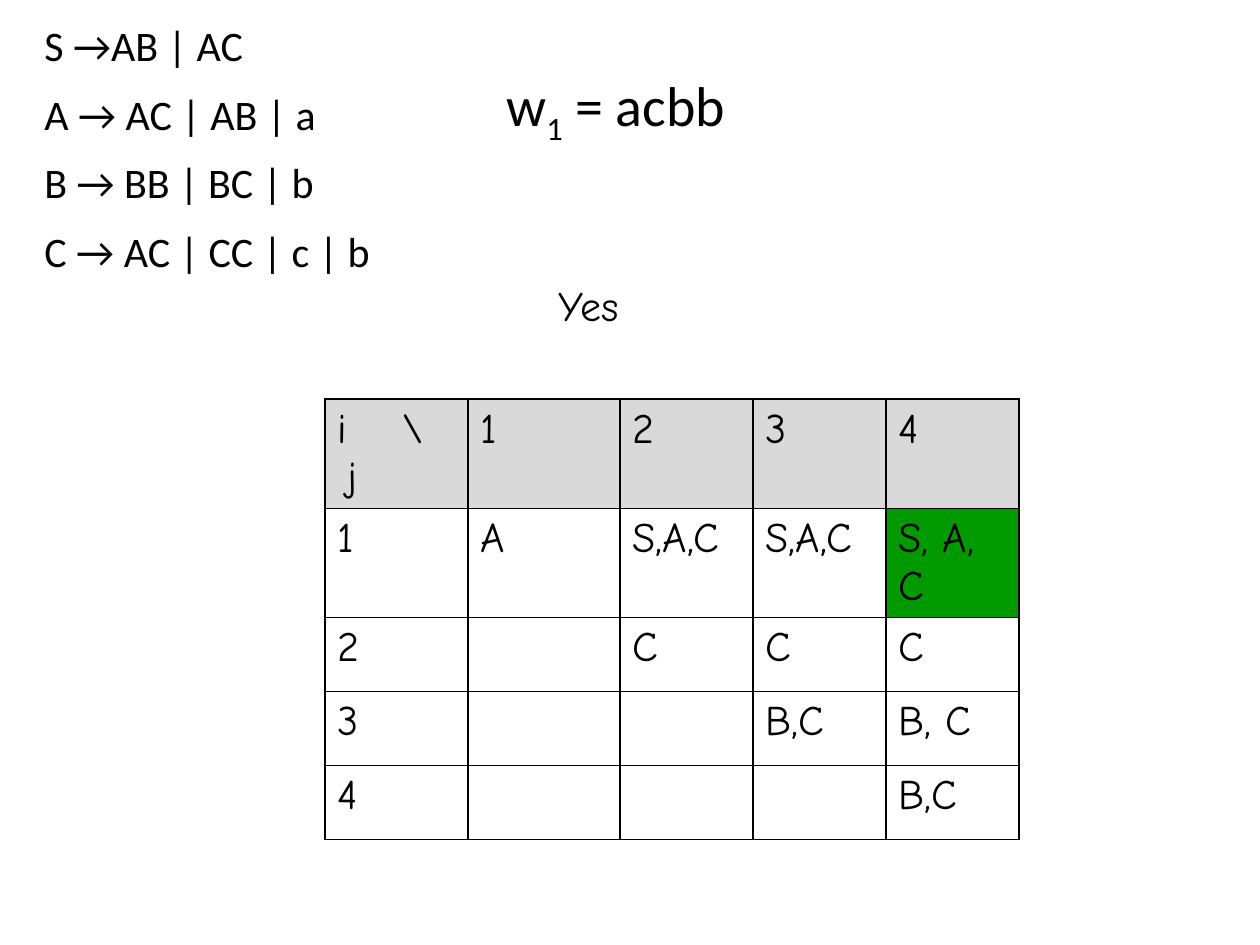
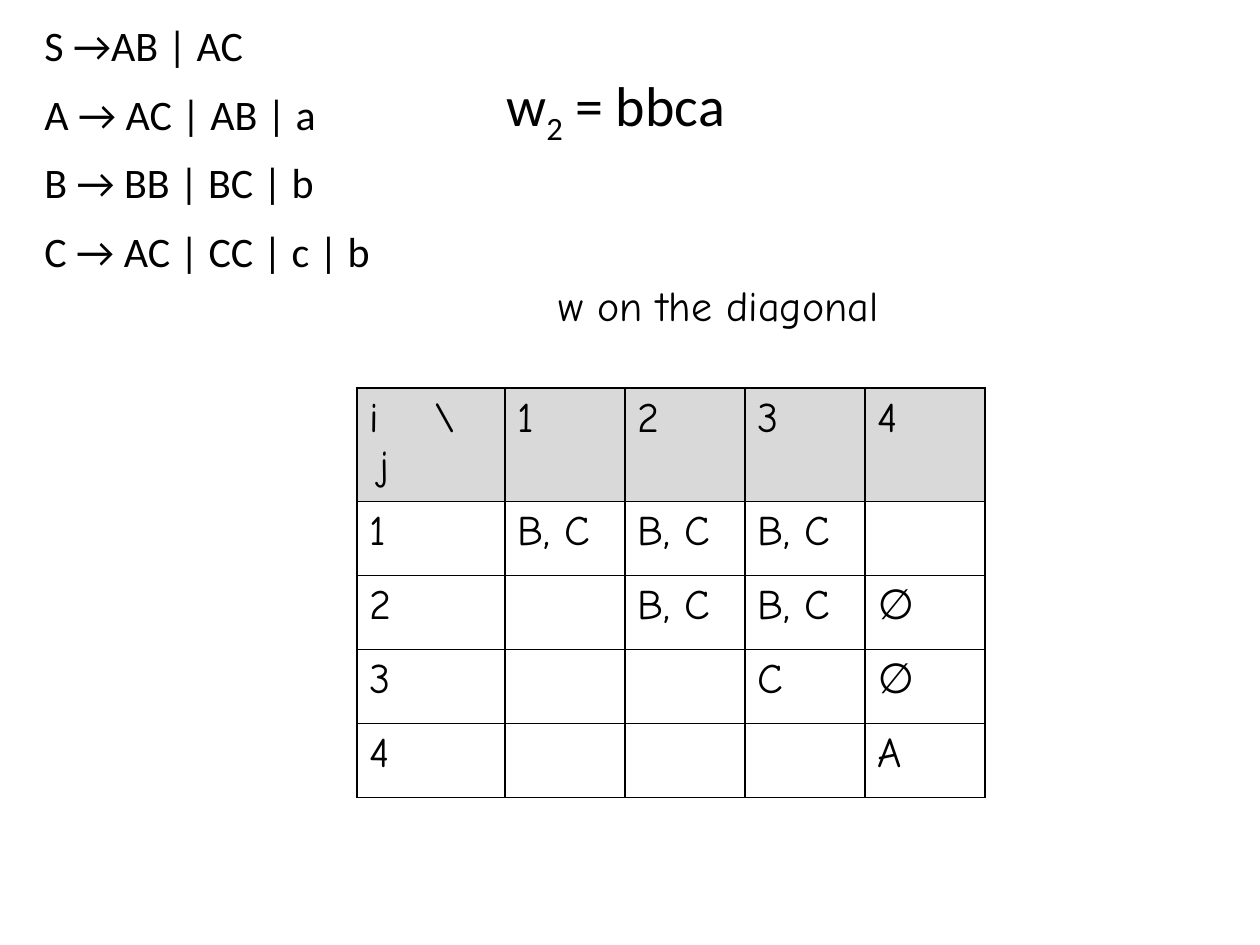
from lxml import etree
from pptx import Presentation
from pptx import util as u
from pptx.dml.color import RGBColor
from pptx.enum import text
from pptx.oxml import ns

SCALE = 914400 / 126
BLACK = RGBColor(0x00, 0x00, 0x00)
HEADER_GREY = RGBColor(0xD9, 0xD9, 0xD9)
ACCEPT_GREEN = RGBColor(0x00, 0x99, 0x00)
BODY_FONT = "Calibri"
HAND_FONT = "Comic Neue"
RULES = ["S →AB | AC", "A → AC | AB | a", "B → BB | BC | b", "C → AC | CC | c | b"]
RULES_BOX = (-31, 6, 630, 278)
WORD_BOX = (494, 64, 266, 81)
ROW_HEIGHT = 74

SLIDES = [
    {
        "index": "1", "word": "acbb",
        "remark": "Yes", "remark_box": (546, 273, 96, 63),
        "corner": (325, 399), "columns": [143, 152, 133, 133, 133],
        "entries": [["A", "S,A,C", "S,A,C", "S, A, C"], ["C", "C", "C"], ["B,C", "B, C"], ["B,C"]],
        "accepted": True,
    },
    {
        "index": "2", "word": "bbca",
        "remark": "w on the diagonal", "remark_box": (546, 273, 363, 63),
        "corner": (357, 388), "columns": [148, 120, 120, 120, 120],
        "entries": [["B, C", "B, C", "B, C", ""], ["B, C", "B, C", "∅"], ["C", "∅"], ["A"]],
        "accepted": False,
    },
]


def px(length):
    """Turn px into EMU."""
    return u.Emu(round(length * SCALE))


def add_element(parent, tag, **attributes):
    """Append a DrawingML element and return it."""
    return etree.SubElement(parent, ns.qn(f"a:{tag}"), **attributes)


def space_before(para):
    """Put a fifth of a line above a paragraph that has no properties yet."""
    spacing = add_element(para._p.get_or_add_pPr(), "spcBef")
    add_element(spacing, "spcPct", val="20000")


def set_font(para, name, size):
    """Give a paragraph its black font."""
    para.font.name = name
    para.font.size = u.Pt(size)
    para.font.color.rgb = BLACK


def add_text_box(page, box, wrap):
    """Add an empty text box and return its text frame."""
    frame = page.shapes.add_textbox(*map(px, box)).text_frame
    frame.word_wrap = wrap
    frame.auto_size = text.MSO_AUTO_SIZE.SHAPE_TO_FIT_TEXT
    return frame


def add_rules(page, box):
    """List the grammar rules."""
    frame = add_text_box(page, box, True)
    for number, rule in enumerate(RULES):
        para = frame.add_paragraph() if number else frame.paragraphs[0]
        para.text = rule
        para.line_spacing = 1.15
        para.space_after = u.Pt(6)
        para._p.get_or_add_pPr().set("marL", str(px(63)))
        set_font(para, BODY_FONT, 24)


def add_word(page, box, index, word):
    """Show the tested word with its subscript."""
    para = add_text_box(page, box, False).paragraphs[0]
    space_before(para)
    set_font(para, BODY_FONT, 32)
    for part in ("w", index, f" = {word}"):
        span = para.add_run()
        span.text = part
        if part == index:
            span._r.get_or_add_rPr().set("baseline", "-25000")


def add_remark(page, box, remark):
    """Write the remark above the table."""
    para = add_text_box(page, box, False).paragraphs[0]
    para.text = remark
    space_before(para)
    set_font(para, HAND_FONT, 24)


def fill_cell(cell, entry, color=None):
    """Give a cell its text, black borders and fill."""
    if entry:
        para = cell.text_frame.paragraphs[0]
        para.text = entry
        space_before(para)
        set_font(para, HAND_FONT, 24)
    for side in ("lnL", "lnR", "lnT", "lnB"):
        line = add_element(cell._tc.get_or_add_tcPr(), side, w=str(u.Pt(1)))
        add_element(add_element(line, "solidFill"), "srgbClr", val=str(BLACK))
    if color is None:
        cell.fill.background()
    else:
        cell.fill.solid()
        cell.fill.fore_color.rgb = color


def fill_axis_cell(cell):
    """Label the row and column indices in the corner cell."""
    fill_cell(cell, "i\t\\", HEADER_GREY)
    first = cell.text_frame.paragraphs[0]
    tabs = etree.Element(ns.qn("a:tabLst"))
    add_element(tabs, "tab", pos=str(px(64)), algn="l")
    first._p.pPr.find(ns.qn("a:spcBef")).addnext(tabs)
    second = cell.text_frame.add_paragraph()
    second.text = "j"
    second._p.get_or_add_pPr().set("marL", str(px(10)))
    set_font(second, HAND_FONT, 24)


def add_parse_table(page, corner, columns, entries, accepted):
    """Build the upper triangular parse table."""
    size = len(columns)
    box = (*corner, sum(columns), size * ROW_HEIGHT)
    table = page.shapes.add_table(size, size, *map(px, box)).table
    table.first_row = table.horz_banding = False
    for column, width in zip(table.columns, columns):
        column.width = px(width)
    for row in table.rows:
        row.height = px(ROW_HEIGHT)
    fill_axis_cell(table.cell(0, 0))
    for i in range(1, size):
        fill_cell(table.cell(0, i), str(i), HEADER_GREY)
        fill_cell(table.cell(i, 0), str(i))
        for j in range(1, size):
            entry = entries[i - 1][j - i] if j >= i else ""
            final = accepted and (i, j) == (1, size - 1)
            fill_cell(table.cell(i, j), entry, ACCEPT_GREEN if final else None)


def add_parse_slide(deck, content):
    """Add one slide that tests a word against the grammar."""
    page = deck.slides.add_slide(deck.slide_layouts[6])
    add_parse_table(page, content["corner"], content["columns"], content["entries"], content["accepted"])
    add_remark(page, content["remark_box"], content["remark"])
    add_rules(page, RULES_BOX)
    add_word(page, WORD_BOX, content["index"], content["word"])


def main():
    """Build and save the deck."""
    deck = Presentation()
    deck.slide_width, deck.slide_height = px(1260), px(945)
    for content in SLIDES:
        add_parse_slide(deck, content)
    deck.save("out.pptx")


if __name__ == "__main__":
    main()
